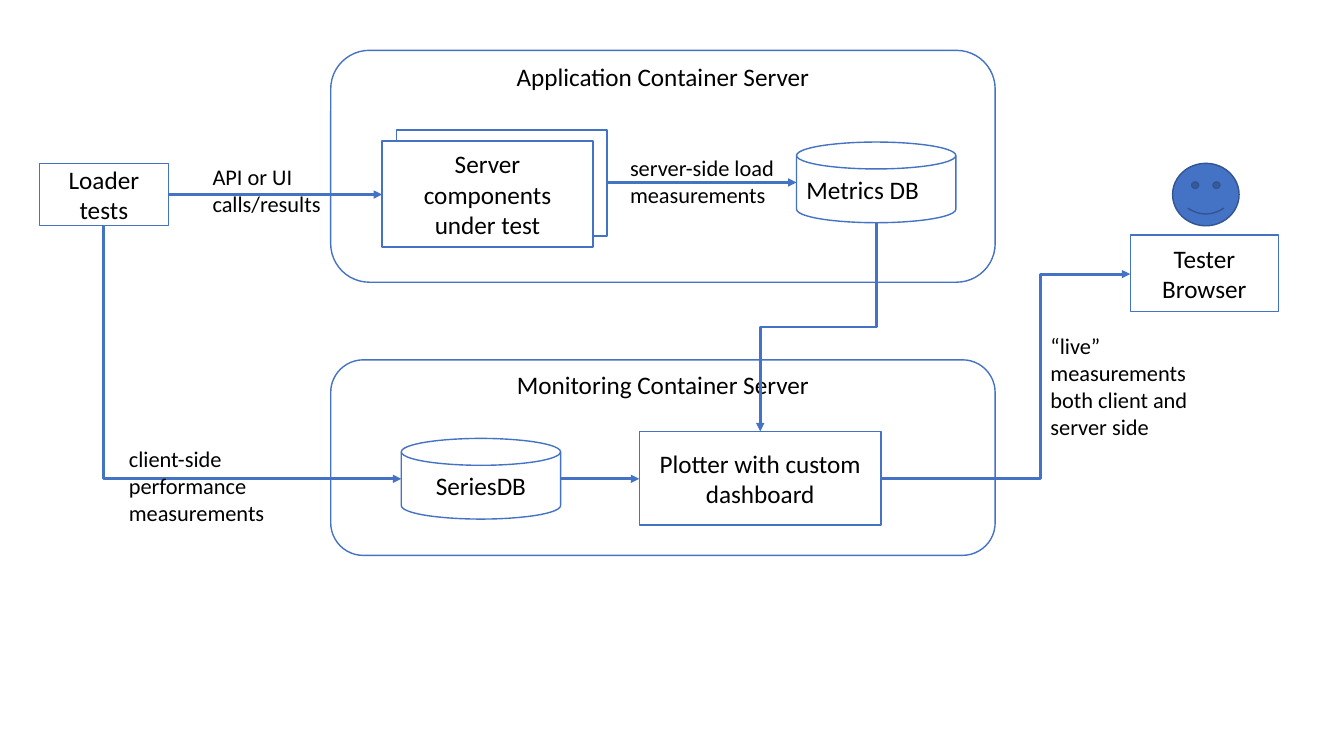
from dataclasses import dataclass

import pptx
import pptx.dml.color
import pptx.enum.shapes
import pptx.enum.text
import pptx.oxml.ns
import pptx.oxml.xmlchemy
import pptx.util

Inches = pptx.util.Inches
Pt = pptx.util.Pt
Preset = pptx.enum.shapes.MSO_SHAPE
Connector = pptx.enum.shapes.MSO_CONNECTOR
Align = pptx.enum.text.PP_ALIGN
Anchor = pptx.enum.text.MSO_ANCHOR
new_element = pptx.oxml.xmlchemy.OxmlElement
qn = pptx.oxml.ns.qn

COLORS = {"paper": "FFFFFF", "blue": "4472C4", "dark_blue": "325491", "text": "000000"}
FONT = "Calibri"


@dataclass
class Node:
    left: float
    top: float
    width: float
    height: float
    text: str = ""
    preset: Preset = Preset.RECTANGLE
    fill: str = "paper"
    line: str = "blue"
    align: Align = Align.CENTER
    anchor: Anchor = Anchor.MIDDLE
    top_inset: float = 0.05


@dataclass
class Label:
    left: float
    top: float
    width: float
    height: float
    text: str


@dataclass
class Arrow:
    start: tuple[float, float]
    end: tuple[float, float]
    geometry: str = "straightConnector1"
    vertical_start: bool = False
    bend: float = 0.5


def color(name: str) -> pptx.dml.color.RGBColor:
    return pptx.dml.color.RGBColor.from_string(COLORS[name])


def write_text(shape, text: str, *, size: float = 18, align: Align = Align.LEFT,
               anchor: Anchor = Anchor.TOP, top_inset: float = 0.05) -> None:
    frame = shape.text_frame
    frame.word_wrap = True
    frame.vertical_anchor = anchor
    frame.margin_top = Inches(top_inset)
    paragraph = frame.paragraphs[0]
    paragraph.alignment = align
    run = paragraph.add_run()
    run.text = text
    run.font.name = FONT
    run.font.size = Pt(size)
    run.font.color.rgb = color("text")


def draw_node(shapes, node: Node) -> None:
    shape = shapes.add_shape(node.preset, Inches(node.left), Inches(node.top),
                             Inches(node.width), Inches(node.height))
    shape.shadow.inherit = False
    shape.fill.solid()
    shape.fill.fore_color.rgb = color(node.fill)
    shape.line.color.rgb = color(node.line)
    shape.line.width = Pt(1)
    if node.text:
        write_text(shape, node.text, align=node.align, anchor=node.anchor,
                   top_inset=node.top_inset)


def draw_label(shapes, label: Label) -> None:
    box = shapes.add_textbox(Inches(label.left), Inches(label.top),
                             Inches(label.width), Inches(label.height))
    write_text(box, label.text, size=16)


def quarter_turn_back(point: tuple[float, float],
                      center: tuple[float, float]) -> tuple[float, float]:
    return (center[0] + point[1] - center[1], center[1] - point[0] + center[0])


def draw_arrow(shapes, arrow: Arrow) -> None:
    start, end = arrow.start, arrow.end
    if arrow.vertical_start:
        center = ((start[0] + end[0]) / 2, (start[1] + end[1]) / 2)
        start, end = quarter_turn_back(start, center), quarter_turn_back(end, center)
    connector = shapes.add_connector(Connector.ELBOW, Inches(start[0]), Inches(start[1]),
                                     Inches(end[0]), Inches(end[1]))
    connector.line.color.rgb = color("blue")
    connector.line.width = Pt(2)
    # Geometry, rotation and bend position
    properties = connector._element.spPr
    if arrow.vertical_start:
        properties.find(qn("a:xfrm")).set("rot", str(90 * 60000))
    geometry = properties.find(qn("a:prstGeom"))
    geometry.set("prst", arrow.geometry)
    if arrow.geometry == "bentConnector3":
        guide = new_element("a:gd")
        guide.set("name", "adj1")
        guide.set("fmla", f"val {round(arrow.bend * 100000)}")
        geometry.find(qn("a:avLst")).append(guide)
    # Arrowhead, and no shadow
    head = new_element("a:tailEnd")
    head.set("type", "triangle")
    properties.find(qn("a:ln")).append(head)
    properties.append(new_element("a:effectLst"))


def server(top: float, height: float, text: str) -> Node:
    return Node(3.28, top, 6.59, height, text, Preset.ROUNDED_RECTANGLE,
                anchor=Anchor.TOP, top_inset=0)


def database(left: float, top: float, text: str, align: Align = Align.CENTER) -> Node:
    return Node(left, top, 1.58, 0.8, text, Preset.FLOWCHART_MAGNETIC_DISK, align=align)


SERVERS = [
    server(0.5, 2.3, "Application Container Server"),
    server(3.57, 1.94, "Monitoring Container Server"),
]
COMPONENT_STACK = [
    Node(3.93, 1.29, 2.09, 1.05),
    Node(3.79, 1.4, 2.09, 1.05, "Server components under test"),
]
NODES = [
    Node(0.39, 1.62, 1.28, 0.62, "Loader tests"),
    database(3.98, 4.35, "SeriesDB"),
    Node(6.34, 4.28, 2.4, 0.93, "Plotter with custom dashboard"),
    database(7.9, 1.41, "Metrics DB", Align.LEFT),
    Node(11.21, 2.33, 1.47, 0.76, "Tester Browser"),
    Node(11.63, 1.62, 0.66, 0.62, preset=Preset.SMILEY_FACE, fill="blue", line="dark_blue"),
]
ARROWS = [
    Arrow((1.67, 1.93), (3.79, 1.93)),
    Arrow((1.03, 2.24), (3.98, 4.75), "bentConnector2", vertical_start=True),
    Arrow((6.02, 1.81), (7.9, 1.81)),
    Arrow((8.69, 2.21), (7.54, 4.28), "bentConnector3", vertical_start=True),
    Arrow((5.56, 4.75), (6.34, 4.75)),
    Arrow((8.74, 4.75), (11.21, 2.72), "bentConnector3", bend=0.64),
]
LABELS = [
    Label(2.01, 1.57, 1.53, 0.64, "API or UI calls/results"),
    Label(1.18, 4.37, 1.86, 0.91, "client-side performance measurements"),
    Label(6.15, 1.48, 1.79, 0.64, "server-side load measurements"),
    Label(10.32, 3.25, 1.79, 1.18, "“live” measurements both client and server side"),
]

presentation = pptx.Presentation()
presentation.slide_width = Inches(13.33)
presentation.slide_height = Inches(7.5)
slide = presentation.slides.add_slide(presentation.slide_layouts[6])

# Servers, the stacked components, and the other nodes
for node in SERVERS:
    draw_node(slide.shapes, node)
stack = slide.shapes.add_group_shape()
for node in COMPONENT_STACK:
    draw_node(stack.shapes, node)
for node in NODES:
    draw_node(slide.shapes, node)

# Data flows and their labels
for arrow in ARROWS:
    draw_arrow(slide.shapes, arrow)
for label in LABELS:
    draw_label(slide.shapes, label)

presentation.save("out.pptx")
